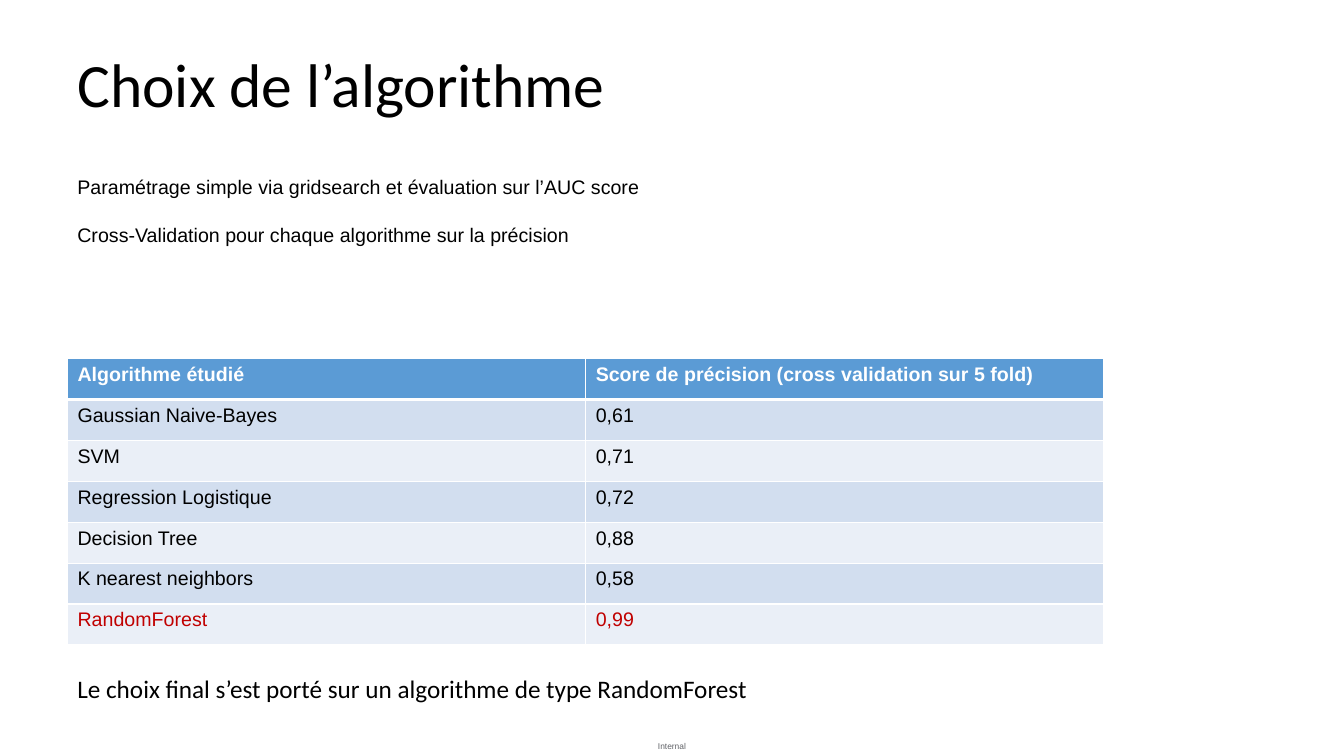
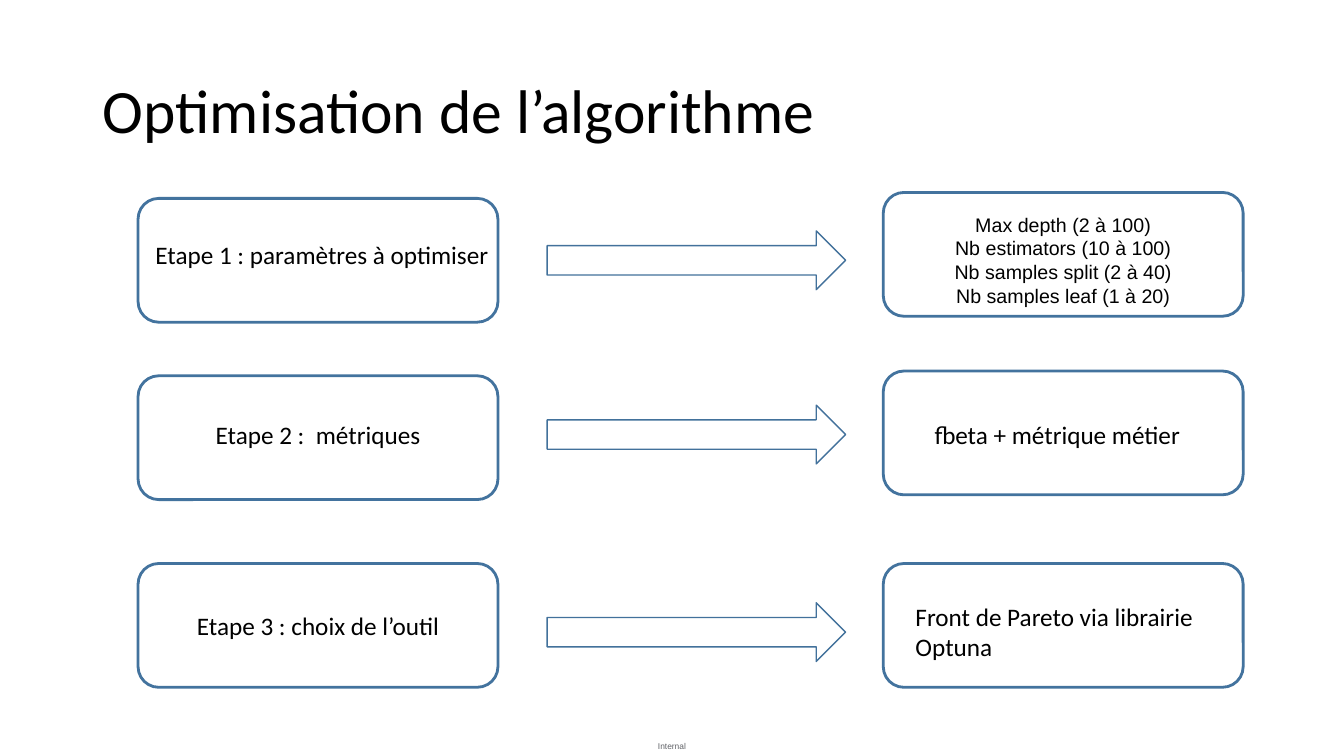
from lxml import etree
from pptx import Presentation
from pptx.dml.color import RGBColor
from pptx.enum.shapes import MSO_SHAPE
from pptx.enum.text import MSO_ANCHOR, PP_ALIGN
from pptx.oxml.ns import qn
from pptx.util import Cm, Pt

ROUND_RECT, ARROW = MSO_SHAPE.ROUNDED_RECTANGLE, MSO_SHAPE.RIGHT_ARROW
LEFT, CENTER = PP_ALIGN.LEFT, PP_ALIGN.CENTER
TOP, MIDDLE = MSO_ANCHOR.TOP, MSO_ANCHOR.MIDDLE

BLACK, WHITE, GREY, RED = "000000", "FFFFFF", "626469", "C00000"
HEADER, BANDS = "5B9BD5", ("D2DEEF", "EAEFF7")
BOX_LINE, ARROW_LINE = "43739E", "42719B"
SANS, BODY = "Calibri", "Arial"
SLIDE_W, SLIDE_H = 33.87, 19.05

SCORES = [
    ("Algorithme étudié", "Score de précision (cross validation sur 5 fold)"),
    ("Gaussian Naive-Bayes", "0,61"),
    ("SVM", "0,71"),
    ("Regression Logistique", "0,72"),
    ("Decision Tree", "0,88"),
    ("K nearest neighbors", "0,58"),
    ("RandomForest", "0,99"),
]


def rgb(color):
    return RGBColor.from_string(color)


def write(tf, text, size, font=SANS, color=BLACK, align=LEFT, bold=False, spacing=None, gap=0):
    """Fill a text frame, one paragraph per line; gap is the space between paragraphs."""
    tf.text = text
    for i, p in enumerate(tf.paragraphs):
        p.alignment = align
        if spacing:
            p.line_spacing = spacing
        if gap and i:
            p.space_before = Pt(gap)
        for r in p.runs:
            r.font.size, r.font.name, r.font.bold = Pt(size), font, bold
            r.font.color.rgb = rgb(color)


def set_margins(tf, left, top, right, bottom):
    tf.margin_left, tf.margin_top = Cm(left), Cm(top)
    tf.margin_right, tf.margin_bottom = Cm(right), Cm(bottom)


def add_text(slide, x, y, w, h, text, size, anchor=TOP, **style):
    tf = slide.shapes.add_textbox(Cm(x), Cm(y), Cm(w), Cm(h)).text_frame
    tf.word_wrap = True
    tf.vertical_anchor = anchor
    write(tf, text, size, **style)
    return tf


def add_outline(slide, kind, x, y, w, h, color, width):
    sp = slide.shapes.add_shape(kind, Cm(x), Cm(y), Cm(w), Cm(h))
    sp.shadow.inherit = False
    sp.fill.background()
    sp.line.color.rgb = rgb(color)
    sp.line.width = Pt(width)
    return sp


def new_slide(prs, title, x, y, h):
    """Blank slide with the shared title style and footer."""
    slide = prs.slides.add_slide(prs.slide_layouts[6])
    add_text(slide, x, y, 29.21, h, title, 44, MIDDLE, spacing=0.9)
    footer = add_text(slide, (SLIDE_W - 1.27) / 2, SLIDE_H - 0.51, 1.27, 0.51,
                      "Internal", 6, MIDDLE, font=BODY, color=GREY, align=CENTER)
    set_margins(footer, 0, 0, 0, 0)
    return slide


def set_borders(cell, **widths):
    """Draw white cell borders; widths in points, keyed by side L, R, T, B."""
    tc_pr = cell._tc.get_or_add_tcPr()
    for i, (side, width) in enumerate(widths.items()):
        ln = etree.Element(qn(f"a:ln{side}"), w=str(Pt(width)))
        fill = etree.SubElement(ln, qn("a:solidFill"))
        etree.SubElement(fill, qn("a:srgbClr"), val=WHITE)
        tc_pr.insert(i, ln)


def score_table(slide, x, y, w, h):
    rows, cols = len(SCORES), len(SCORES[0])
    table = slide.shapes.add_table(rows, cols, Cm(x), Cm(y), Cm(w), Cm(h)).table
    for col in table.columns:
        col.width = Cm(w / cols)
    for i, values in enumerate(SCORES):
        table.rows[i].height = Cm(h / rows)
        head, best = i == 0, i == rows - 1
        color = WHITE if head else RED if best else BLACK
        for j, value in enumerate(values):
            cell = table.cell(i, j)
            write(cell.text_frame, value, 14, font=BODY, color=color, bold=head)
            cell.fill.solid()
            cell.fill.fore_color.rgb = rgb(HEADER if head else BANDS[(i - 1) % 2])
            set_borders(cell, L=1, R=1, T=3 if i == 1 else 1, B=3 if head else 1)


def step_box(slide, x, y, text, size=18, font=SANS, align=CENTER, indent=0, drop=0):
    """Rounded box; drop moves its text below the middle."""
    sp = add_outline(slide, ROUND_RECT, x, y, 9.07, 3.12, BOX_LINE, 2)
    tf = sp.text_frame
    tf.word_wrap = True
    tf.vertical_anchor = MIDDLE
    set_margins(tf, indent, 0.15 + drop, 0, 0.15 - drop)
    write(tf, text, size, font=font, align=align)


def step_row(slide, x, y, step, detail, arrow_dy, detail_dy):
    """Step box, arrow and detail box, placed from the step's top left corner."""
    step_box(slide, x, y, **step)
    add_outline(slide, ARROW, x + 10.31, y + arrow_dy, 7.52, 1.48, ARROW_LINE, 1)
    step_box(slide, x + 18.78, y + detail_dy, **detail)


def choice_slide(prs):
    x = 1.7
    slide = new_slide(prs, "Choix de l’algorithme", x, 0.76, 2.9)
    add_text(slide, x, 4.29, 27.9, 2.06,
             "Paramétrage simple via gridsearch et évaluation sur l’AUC score\n"
             "Cross-Validation pour chaque algorithme sur la précision",
             14, font=BODY, gap=17)
    score_table(slide, x, 9.04, 26.12, 7.21)
    add_text(slide, x, 16.84, 22.43, 1.02,
             "Le choix final s’est porté sur un algorithme de type RandomForest", 18)


def optimisation_slide(prs):
    slide = new_slide(prs, "Optimisation de l’algorithme", 2.34, 1.02, 3.68)
    x = 3.48
    step_row(slide, x, 5,
             dict(text="Etape 1 : paramètres à optimiser", indent=0.2, drop=-0.15),
             dict(text="Max depth (2 à 100)\nNb estimators (10 à 100)\n"
                       "Nb samples split (2 à 40)\nNb samples leaf (1 à 20)",
                  size=14, font=BODY, drop=0.14),
             arrow_dy=0.82, detail_dy=-0.15)
    step_row(slide, x, 9.47,
             dict(text="Etape 2 :  métriques", drop=-0.08),
             dict(text="fbeta + métrique métier", align=LEFT, indent=1.14, drop=0.05),
             arrow_dy=0.74, detail_dy=-0.12)
    step_row(slide, x, 14.2,
             dict(text="Etape 3 : choix de l’outil"),
             dict(text="Front de Pareto via librairie Optuna",
                  align=LEFT, indent=0.66, drop=0.15),
             arrow_dy=0.99, detail_dy=0)


def main():
    prs = Presentation()
    prs.slide_width, prs.slide_height = Cm(SLIDE_W), Cm(SLIDE_H)
    choice_slide(prs)
    optimisation_slide(prs)
    prs.save("out.pptx")


if __name__ == "__main__":
    main()
